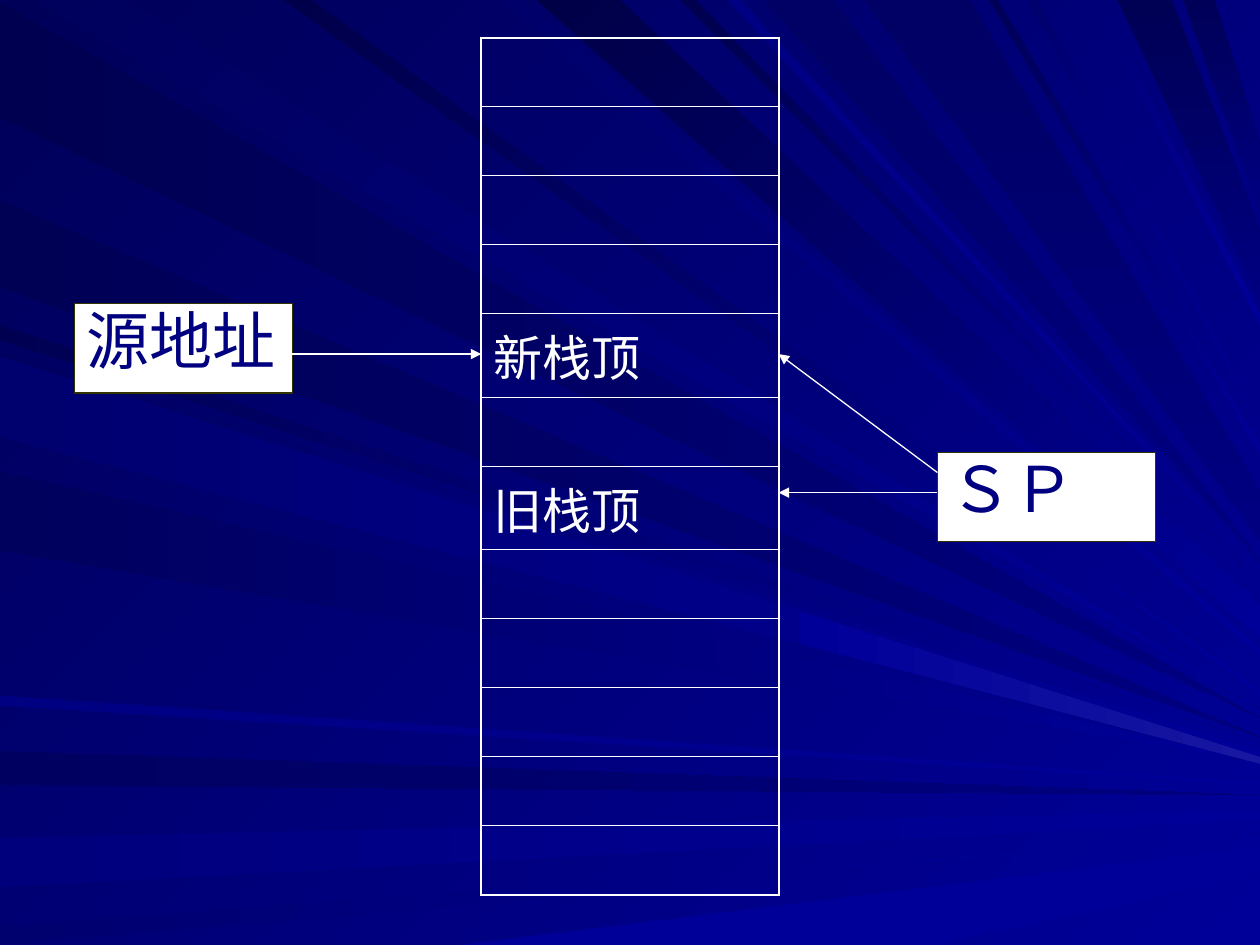
"""Build a slide of a stack whose top moves from the old cell to the new one."""
from dataclasses import dataclass
from typing import Any, NamedTuple

import pptx
import pptx.dml.color
import pptx.enum.shapes
import pptx.enum.text
import pptx.oxml.ns
import pptx.util
from lxml import etree

UNIT = pptx.util.Inches(1) // 100
WIDE, HIGH = 1000, 750


@dataclass(frozen=True)
class Theme:
    font: str = "Arial"
    white: str = "FFFFFF"
    edge: str = "333300"
    navy: str = "000080"
    royal: str = "000099"
    glow: str = "1717A2"
    night: str = "000058"
    large: int = 36
    small: int = 28
    thin: float = 0.75
    inner: float = 0.45
    outer: float = 1.08


class Ray(NamedTuple):
    side: str
    first: int
    last: int
    tip: int
    dark: str
    light: str
    spread: int = 0


class Label(NamedTuple):
    text: str
    left: int
    top: int


class Arrow(NamedTuple):
    start: tuple[int, int]
    end: tuple[int, int]


T = Theme()
RAYS = (
    Ray("left", 93, 2, 570, "000051", T.navy),
    Ray("top", 26, 101, 562, "00005D", T.royal),
    Ray("left", 623, 596, 631, "000061", T.navy),
    Ray("left", 704, 665, 643, "00007D", T.royal, 8),
    Ray("left", HIGH, 735, 662, "00006F", T.royal),
    Ray("bottom", 742, 364, 672, T.royal, T.royal, 22),
    Ray("left", 270, 258, 589, "000053", T.royal),
    Ray("left", 228, 159, 585, "000055", T.navy),
    Ray("top", 398, 416, 515, "00006B", T.royal, 6),
    Ray("top", 426, 492, 479, "000047", T.royal, 28),
    Ray("top", 540, 552, 463, "00004F", T.royal),
    Ray("top", 606, 661, 445, "000065", T.navy),
    Ray("top", 887, 930, 183, "000055", T.navy, 54),
    Ray("top", 939, 964, 114, "000059", T.navy, 53),
    Ray("left", 342, 278, 596, "000061", T.royal, 6),
    Ray("left", 437, 374, 605, "00005D", T.royal),
    Ray("left", 560, 552, 621, "000082", T.royal, 2),
    Ray("top", 225, 247, 547, "00004A", T.royal, 5),
    Ray("top", 577, 588, 453, "000082", T.royal),
    Ray("top", 686, 770, 390, "000065", T.navy, 38),
    Ray("top", 785, 792, 354, "000058", T.royal, 6),
    Ray("top", 815, 824, 335, "00006F", T.royal),
    Ray("top", 865, 872, 249, "000079", T.royal, 9),
    Ray("left", 347, 283, 601, "00006F", T.royal, 5),
    Ray("middle", 511, 485, 601, T.royal, T.glow, 5),
)
LABELS = (Label("源地址", 59, 241), Label("ＳＰ", 744, 359))
ARROWS = (
    Arrow((744, 391), (618, 391)),
    Arrow((744, 375), (618, 281)),
    Arrow((232, 281), (382, 281)),
)
ROWS = ("", "", "", "", "新栈顶", "", "旧栈顶", "", "", "", "", "")


def px(*sizes: int) -> list[int]:
    return [size * UNIT for size in sizes]


def rgb(code: str) -> Any:
    return pptx.dml.color.RGBColor.from_string(code)


def paint(fill: Any, dark: str, light: str, turn: int = 0) -> None:
    if dark == light:
        fill.solid()
        fill.fore_color.rgb = rgb(dark)
        return
    fill.gradient()
    fill.gradient_angle = -turn % 360
    for stop, code in zip(fill.gradient_stops, (dark, light)):
        stop.color.rgb = rgb(code)


def write(frame: Any, text: str, *, size: int, color: str, space: float = 1.0) -> None:
    frame.word_wrap = True
    line = frame.paragraphs[0]
    line.alignment = pptx.enum.text.PP_ALIGN.LEFT
    line.line_spacing = space
    run = line.add_run()
    run.text = text
    run.font.name = T.font
    run.font.size = pptx.util.Pt(size)
    run.font.color.rgb = rgb(color)


def add_ray(shapes: Any, ray: Ray) -> None:
    if ray.side in ("top", "bottom"):
        level = 0 if ray.side == "top" else HIGH
        start, turn = [(ray.first, level), (ray.last, level)], 45
    else:
        level = 0 if ray.side == "left" else 635
        start, turn = [(level, ray.first), (level, ray.last)], 0
    if ray.light == T.navy and ray.side == "top":
        turn = 90
    pen = shapes.build_freeform(*start[0], scale=UNIT)
    ends = [(WIDE, ray.tip), (WIDE, ray.tip + ray.spread)]
    pen.add_line_segments(start[1:] + ends, close=True)
    shape = pen.convert_to_shape()
    shape.shadow.inherit = False
    shape.line.fill.background()
    paint(shape.fill, ray.dark, ray.light, turn)


def add_label(shapes: Any, label: Label) -> None:
    kind = pptx.enum.shapes.MSO_SHAPE.RECTANGLE
    box = shapes.add_shape(kind, *px(label.left, label.top, 173, 71))
    box.shadow.inherit = False
    paint(box.fill, T.white, T.white)
    box.line.color.rgb = rgb(T.edge)
    box.line.width = pptx.util.Pt(T.thin)
    box.text_frame.vertical_anchor = pptx.enum.text.MSO_ANCHOR.TOP
    write(box.text_frame, label.text, size=T.large, color=T.navy, space=0.9)


def add_arrow(shapes: Any, arrow: Arrow) -> None:
    kind = pptx.enum.shapes.MSO_CONNECTOR.STRAIGHT
    line = shapes.add_connector(kind, *px(*arrow.start, *arrow.end))
    line.line.color.rgb = rgb(T.white)
    line.line.width = pptx.util.Pt(T.thin)
    qn = pptx.oxml.ns.qn
    edge = line._element.spPr.find(qn("a:ln"))
    etree.SubElement(edge, qn("a:tailEnd"), type="triangle")
    etree.SubElement(line._element.spPr, qn("a:effectLst"))


def add_edges(cell: Any, top: float, base: float) -> None:
    qn = pptx.oxml.ns.qn
    sides = {"L": T.outer, "R": T.outer, "T": top, "B": base}
    for place, (side, width) in enumerate(sides.items()):
        edge = etree.Element(qn(f"a:ln{side}"), w=str(int(pptx.util.Pt(width))))
        fill = etree.SubElement(edge, qn("a:solidFill"))
        etree.SubElement(fill, qn("a:srgbClr"), val=T.white)
        cell._tc.get_or_add_tcPr().insert(place, edge)


def add_stack(shapes: Any, rows: tuple[str, ...]) -> None:
    left, top, width, height, tall = px(382, 30, 236, 680, 66)
    named = sum(map(bool, rows))
    short = (height - named * tall) // (len(rows) - named)
    table = shapes.add_table(len(rows), 1, left, top, width, height).table
    table.first_row = table.horz_banding = False
    last = len(rows) - 1
    for place, text in enumerate(rows):
        table.rows[place].height = tall if text else short
        cell = table.cell(place, 0)
        cell.fill.background()
        add_edges(cell, T.inner if place else T.outer, T.inner if place < last else T.outer)
        if text:
            write(cell.text_frame, text, size=T.small, color=T.white)


def main() -> None:
    deck = pptx.Presentation()
    deck.slide_width, deck.slide_height = px(WIDE, HIGH)
    slide = deck.slides.add_slide(deck.slide_layouts[6])
    paint(slide.background.fill, T.night, T.royal, 45)
    for ray in RAYS:
        add_ray(slide.shapes, ray)
    add_stack(slide.shapes, ROWS)
    for label in LABELS:
        add_label(slide.shapes, label)
    for arrow in ARROWS:
        add_arrow(slide.shapes, arrow)
    deck.save("out.pptx")


if __name__ == "__main__":
    main()
